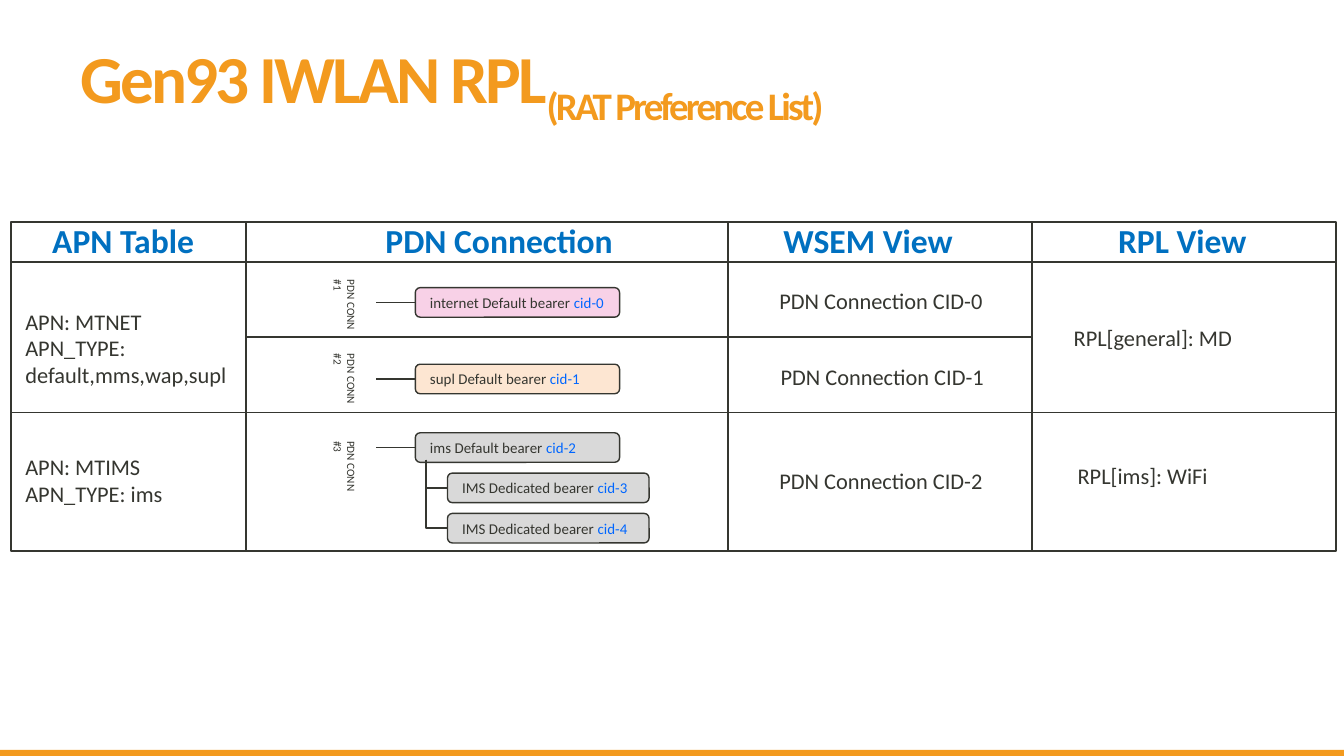
from lxml import etree
from pptx import Presentation, util as u
from pptx.dml.color import RGBColor
from pptx.enum import shapes, text
from pptx.oxml.ns import qn

INK = RGBColor(0x35, 0x36, 0x30)
ORANGE = RGBColor(0xF3, 0x9A, 0x1E)
HEADING_BLUE = RGBColor(0x00, 0x70, 0xC0)
CID_BLUE = RGBColor(0x00, 0x66, 0xFF)
PINK = RGBColor(0xF8, 0xD1, 0xE7)
PEACH = RGBColor(0xFD, 0xE6, 0xD2)
GREY = RGBColor(0xD9, 0xD9, 0xD9)


class SlideWriter:
    font = "Calibri"

    def __init__(self, slide):
        self.shapes = slide.shapes

    def run(self, paragraph, words, size, color=INK, bold=False):
        run = paragraph.add_run()
        run.text = words
        run.font.name = self.font
        run.font.size = u.Pt(size)
        run.font.bold = bold
        run.font.color.rgb = color
        return run

    def label(self, left, top, width, height, lines, size=12, color=INK, bold=False, rotation=0):
        box = self.shapes.add_textbox(*map(u.Inches, (left, top, width, height)))
        box.rotation = rotation
        frame = box.text_frame
        frame.word_wrap = True
        frame.auto_size = text.MSO_AUTO_SIZE.SHAPE_TO_FIT_TEXT
        for i, line in enumerate(lines):
            paragraph = frame.paragraphs[0] if i == 0 else frame.add_paragraph()
            self.run(paragraph, line, size, color, bold)

    def title(self, main, suffix):
        box = self.shapes.add_textbox(*map(u.Inches, (0.5, 0.14, 9, 0.93)))
        frame = box.text_frame
        frame.word_wrap = True
        frame.vertical_anchor = text.MSO_ANCHOR.MIDDLE
        paragraph = frame.paragraphs[0]
        paragraph.line_spacing = 0.8
        for words, baseline in ((main, 0), (suffix, -25000)):
            properties = self.run(paragraph, words, 36, ORANGE, True).font._element
            properties.set("spc", "-150")
            if baseline:
                properties.set("baseline", str(baseline))

    def block(self, kind, left, top, width, height, fill=None, weight=None):
        shape = self.shapes.add_shape(kind, *map(u.Inches, (left, top, width, height)))
        shape.shadow.inherit = False
        if fill is None:
            shape.fill.background()
        else:
            shape.fill.solid()
            shape.fill.fore_color.rgb = fill
        if weight is None:
            shape.line.fill.background()
        else:
            shape.line.color.rgb = INK
            shape.line.width = u.Pt(weight)
        return shape

    def bearer(self, left, top, width, name, cid, fill):
        pill = self.block(shapes.MSO_SHAPE.ROUNDED_RECTANGLE, left, top, width, 0.22, fill, 0.75)
        frame = pill.text_frame
        frame.word_wrap = True
        frame.vertical_anchor = text.MSO_ANCHOR.MIDDLE
        paragraph = frame.paragraphs[0]
        paragraph.alignment = text.PP_ALIGN.LEFT
        self.run(paragraph, name + " bearer ", 8)
        self.run(paragraph, cid, 8, CID_BLUE)
        return pill

    def line(self, x1, y1, x2, y2, weight=1, kind=shapes.MSO_CONNECTOR.STRAIGHT):
        connector = self.shapes.add_connector(kind, *map(u.Inches, (x1, y1, x2, y2)))
        connector.line.color.rgb = INK
        connector.line.width = u.Pt(weight)
        etree.SubElement(connector._element.spPr, qn("a:effectLst"))
        return connector

    def elbow(self, x1, y1, x2, y2):
        """Down, then right: a one-bend connector turned by 270 degrees."""
        mid_x, mid_y = (x1 + x2) / 2, (y1 + y2) / 2
        half_w, half_h = (y2 - y1) / 2, (x2 - x1) / 2
        bend = self.line(mid_x + half_w, mid_y - half_h, mid_x - half_w, mid_y + half_h,
                         0.75, shapes.MSO_CONNECTOR.ELBOW)
        properties = bend._element.spPr
        properties.find(qn("a:prstGeom")).set("prst", "bentConnector2")
        properties.find(qn("a:xfrm")).set("rot", str(270 * 60000))


def main():
    # Widescreen slide, 16:9
    deck = Presentation()
    deck.slide_width = u.Inches(10)
    deck.slide_height = u.Inches(10 * 9 / 16)
    page = SlideWriter(deck.slides.add_slide(deck.slide_layouts[6]))

    # Footer bar and title
    page.block(shapes.MSO_SHAPE.RECTANGLE, 0, 5.58, 10, 0.05, ORANGE)
    page.title("Gen93 IWLAN RPL", "(RAT Preference List)")

    # Column frames and row rules
    edges = (0.08, 1.83, 5.42, 7.68, 9.94)
    for left, right in zip(edges, edges[1:]):
        page.block(shapes.MSO_SHAPE.RECTANGLE, left, 1.65, right - left, 2.45, weight=1)
    for left, right, y in ((0.08, 9.93, 1.95), (1.83, 7.68, 2.51), (0.08, 9.93, 3.07)):
        page.line(left, y, right, y)

    # Column headings
    for heading, left, width in (("APN Table", 0.29, 1.32), ("PDN Connection", 2.77, 2.1),
                                 ("WSEM View", 5.73, 1.69), ("RPL View", 8.22, 1.28)):
        page.label(left, 1.59, width, 0.4, [heading], 18, HEADING_BLUE, True)

    # PDN connections, each with its default bearer
    connections = (("internet", PINK, 2.14, 2.15), ("supl", PEACH, 2.71, 2.7),
                   ("ims", GREY, 3.22, 3.35))
    for i, (name, fill, top, label_top) in enumerate(connections):
        default_bearer = page.bearer(3.09, top, 1.52, f"{name} Default", f"cid-{i}", fill)
        stub = page.line(3.09, top + 0.11, 2.8, top + 0.11, 0.75)
        stub.begin_connect(default_bearer, 1)
        page.label(2.25, label_top, 0.63, 0.3, ["PDN CONN", f"#{i + 1}"], 6, rotation=90)

    # Dedicated bearers below the ims bearer
    for cid, top in (("cid-3", 3.52), ("cid-4", 3.82)):
        page.bearer(3.33, top, 1.5, "IMS Dedicated", cid, GREY)
        page.elbow(3.17, 3.42, 3.33, top + 0.11)

    # APN table
    page.label(0.09, 2.24, 1.72, 0.71, ["APN: MTNET APN_TYPE: default,mms,wap,supl"])
    page.label(0.09, 3.32, 1.72, 0.5, ["APN: MTIMS", "APN_TYPE: ims"])

    # WSEM view
    for i, (left, top) in enumerate(((5.7, 2.09), (5.71, 2.65), (5.7, 3.43))):
        page.label(left, top, 1.72, 0.3, [f"PDN Connection CID-{i}"])

    # RPL view
    page.label(7.89, 2.36, 1.88, 0.3, ["RPL[general]: MD"])
    page.label(7.92, 3.39, 1.67, 0.3, ["RPL[ims]: WiFi"])

    deck.save("out.pptx")


if __name__ == "__main__":
    main()
